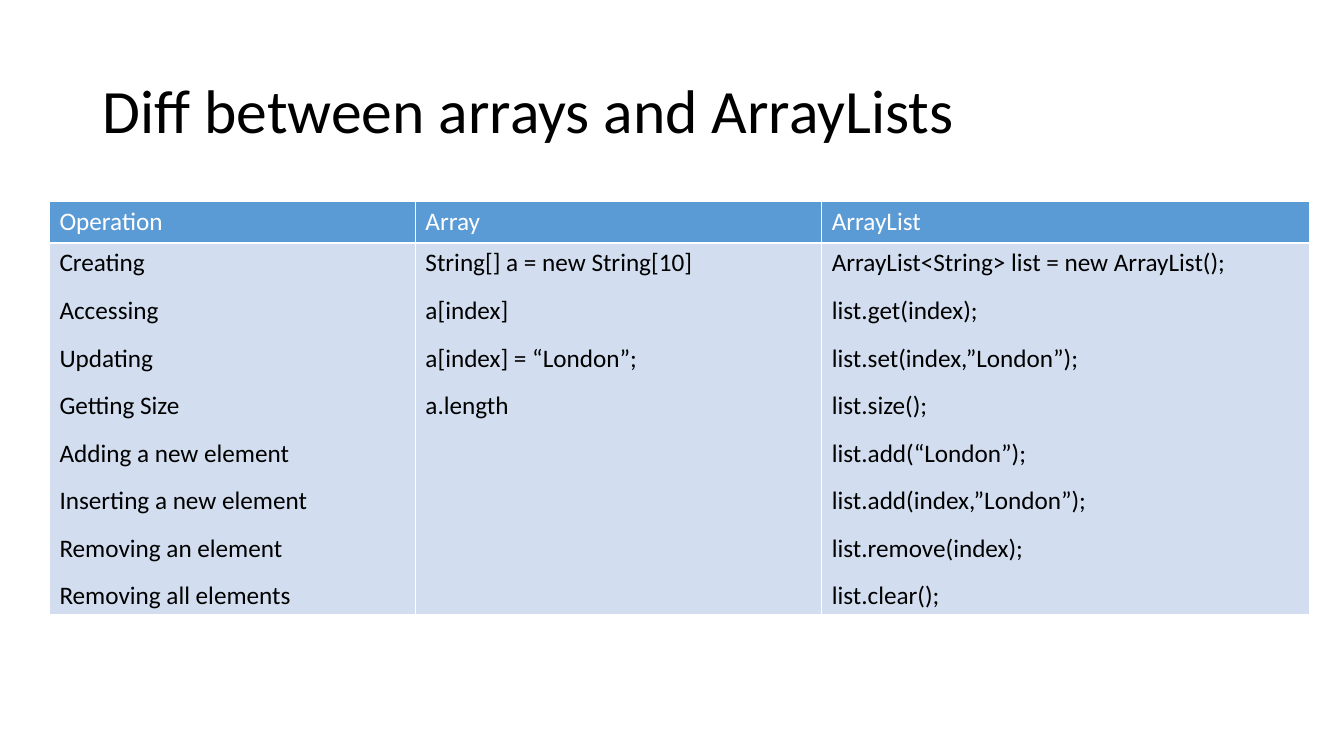
from lxml.etree import SubElement
from pptx import Presentation
from pptx.dml.color import RGBColor
from pptx.enum.text import MSO_ANCHOR
from pptx.oxml.ns import qn
from pptx.util import Inches, Pt


def rgb(value):
    return RGBColor.from_string(value)


class Deck:
    font = "Calibri"
    dark, light = "000000", "FFFFFF"
    header_fill, body_fill = "5B9BD5", "D2DEEF"

    def __init__(self, width, height):
        self.prs = Presentation()
        self.prs.slide_width, self.prs.slide_height = Inches(width), Inches(height)
        self.s = self.prs.slides.add_slide(self.prs.slide_layouts[6])

    def add_text(self, tf, lines, size, color, **paragraph_format):
        for i, line in enumerate(lines):
            p = tf.paragraphs[0] if i == 0 else tf.add_paragraph()
            for name, value in paragraph_format.items():
                setattr(p, name, value)
            r = p.add_run()
            r.text = line
            for name, value in {"name": self.font, "size": Pt(size)}.items():
                setattr(r.font, name, value)
            r.font.color.rgb = rgb(color)

    def title(self, text, box):
        sp = self.s.shapes.add_textbox(*map(Inches, box))
        tf = sp.text_frame
        for name, value in {"word_wrap": True, "vertical_anchor": MSO_ANCHOR.MIDDLE}.items():
            setattr(tf, name, value)
        self.add_text(tf, [text], 44, self.dark, line_spacing=0.9)

    def border(self, cell):
        tcPr = cell._tc.get_or_add_tcPr()
        for side in ("a:lnL", "a:lnR", "a:lnT", "a:lnB"):
            ln = SubElement(tcPr, qn(side), w=str(Pt(1)))
            fill = SubElement(ln, qn("a:solidFill"))
            SubElement(fill, qn("a:srgbClr"), val=self.light)

    def table(self, columns, left, top, widths, heights):
        sp = self.s.shapes.add_table(len(heights), len(widths), Inches(left), Inches(top),
                                     Inches(sum(widths)), Inches(sum(heights)))
        table = sp.table
        for row, height in zip(table.rows, heights):
            row.height = Inches(height)
        for c, ((heading, lines), width) in enumerate(zip(columns.items(), widths)):
            table.columns[c].width = Inches(width)
            header, body = table.cell(0, c), table.cell(1, c)
            for cell, fill in ((header, self.header_fill), (body, self.body_fill)):
                self.border(cell)
                cell.fill.solid()
                cell.fill.fore_color.rgb = rgb(fill)
            self.add_text(header.text_frame, [heading], 18, self.light)
            self.add_text(body.text_frame, lines, 18, self.dark, space_after=Pt(12))


OPERATIONS = {
    "Operation": ["Creating", "Accessing", "Updating", "Getting Size", "Adding a new element",
                  "Inserting a new element", "Removing an element", "Removing all elements"],
    "Array": ["String[] a = new String[10]", "a[index]", "a[index] = “London”;", "a.length"],
    "ArrayList": ["ArrayList<String> list = new ArrayList();", "list.get(index);",
                  "list.set(index,”London”);", "list.size();", "list.add(“London”);",
                  "list.add(index,”London”);", "list.remove(index);", "list.clear();"],
}

deck = Deck(13.33, 7.5)
deck.title("Diff between arrays and ArrayLists", (0.92, 0.4, 11.5, 1.45))
deck.table(OPERATIONS, 0.49, 2, (3.63, 4.03, 4.84), (0.41, 3.69))
deck.prs.save("out.pptx")
